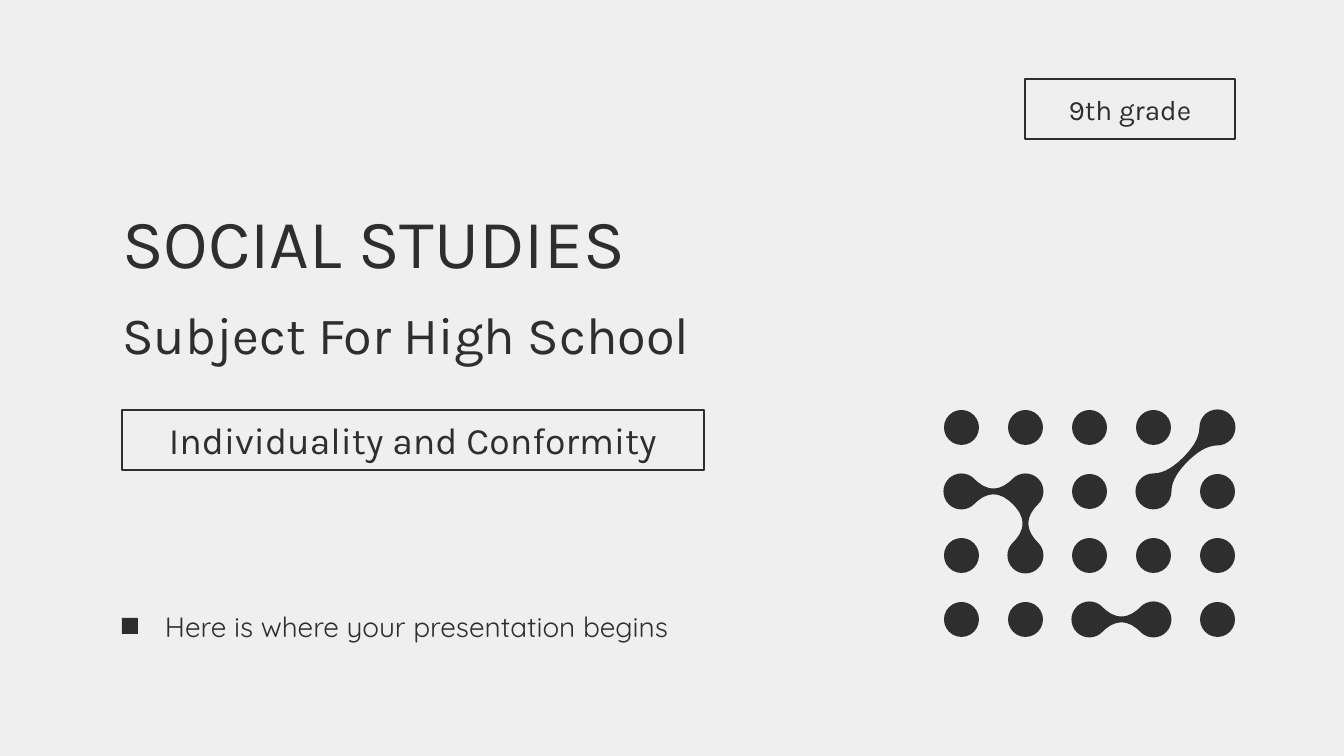
from math import atan2, ceil, cos, degrees, dist, radians, sin, tan

from lxml import etree
from pptx import Presentation
from pptx.dml.color import RGBColor
from pptx.enum.shapes import MSO_SHAPE
from pptx.enum.text import MSO_ANCHOR, MSO_AUTO_SIZE, PP_ALIGN
from pptx.oxml.ns import qn
from pptx.util import Pt

RECT, OVAL = MSO_SHAPE.RECTANGLE, MSO_SHAPE.OVAL
LEFT, CENTER = PP_ALIGN.LEFT, PP_ALIGN.CENTER
MIDDLE, NO_FIT = MSO_ANCHOR.MIDDLE, MSO_AUTO_SIZE.NONE

PAPER = RGBColor(0xEF, 0xEF, 0xEF)
INK = RGBColor(0x2E, 0x2E, 0x2E)
HEAD_FONT, BODY_FONT = "Karla", "Quicksand"
SCALE = 914400 / 134.4

COLS, ROWS, PITCH, DOT = 5, 4, 64, 35
NODE_RADIUS, NECK_HALF = 18, 3
# Each walk goes around its linked dots (column, row) and back to the first.
WALKS = [
    [(4, 0), (3, 1)],
    [(0, 1), (1, 1), (1, 2), (1, 1)],
    [(2, 3), (3, 3)],
]


def px(n):
    return round(n * SCALE)


def place(sp, x, y, w, h):
    sp.left, sp.top, sp.width, sp.height = px(x), px(y), px(w), px(h)


def set_text(sp, text, size, font=HEAD_FONT, align=LEFT):
    tf = sp.text_frame
    tf.word_wrap = True
    tf.auto_size = NO_FIT
    tf.vertical_anchor = MIDDLE
    tf.margin_left = tf.margin_right = tf.margin_top = tf.margin_bottom = px(13)
    p = tf.paragraphs[0]
    p.alignment = align
    p.space_before = Pt(0)
    r = p.add_run()
    r.text = text
    r.font.name, r.font.size = font, Pt(size)
    r.font.bold = False
    r.font.color.rgb = INK


def paint(sp):
    sp.shadow.inherit = False
    sp.fill.solid()
    sp.fill.fore_color.rgb = INK
    sp.line.fill.background()


def add_solid(s, kind, x, y, w, h):
    paint(s.shapes.add_shape(kind, px(x), px(y), px(w), px(h)))


def add_label(s, x, y, w, h, text, size):
    """Outlined box with centred text."""
    sp = s.shapes.add_shape(RECT, px(x), px(y), px(w), px(h))
    sp.shadow.inherit = False
    sp.fill.background()
    sp.line.color.rgb = INK
    sp.line.width = Pt(0.75)
    set_text(sp, text, size, align=CENTER)


def polar(center, radius, angle):
    a = radians(angle)
    return center[0] + radius * cos(a), center[1] + radius * sin(a)


def arc(center, first, sweep):
    """Cubic curves, each as two control points and an end, of 90 degrees at most."""
    count = ceil(sweep / 90)
    for i in range(count):
        step = sweep / count
        a = first + i * step
        b = a + step
        pull = 4 / 3 * tan(radians(step / 4)) * NODE_RADIUS
        yield [polar(polar(center, NODE_RADIUS, a), pull, a + 90),
               polar(polar(center, NODE_RADIUS, b), pull, b - 90),
               polar(center, NODE_RADIUS, b)]


def neck(start, end):
    """The two cubic curves along one side of the waist between two dots."""
    length = dist(start, end)
    half, edge = length / 2, NODE_RADIUS * cos(radians(45))
    lead = 0.18 * half
    side = [(edge + lead, lead - edge), (0.76 * half, -NECK_HALF), (half, -NECK_HALF)]
    side += [(length - a, b) for a, b in side[1::-1]] + [(length - edge, -edge)]
    ux, uy = (end[0] - start[0]) / length, (end[1] - start[1]) / length
    points = [(start[0] + a * ux - b * uy, start[1] + a * uy + b * ux) for a, b in side]
    return [points[:3], points[3:]]


def heading(start, end):
    return degrees(atan2(end[1] - start[1], end[0] - start[0]))


def outline(nodes):
    """Arc around each dot of the walk, followed by the neck to the next dot."""
    curves = []
    for i, node in enumerate(nodes):
        before, after = nodes[i - 1], nodes[(i + 1) % len(nodes)]
        first = heading(node, before) + 45
        sweep = round(heading(node, after) - 45 - first, 3) % 360
        curves += [*arc(node, first, sweep), *neck(node, after)]
    return curves


def add_link(s, nodes):
    xs, ys = zip(*nodes)
    left, right = min(xs) - NODE_RADIUS, max(xs) + NODE_RADIUS
    top, bottom = min(ys) - NODE_RADIUS, max(ys) + NODE_RADIUS
    fb = s.shapes.build_freeform(px(left), px(top), scale=1.0)
    fb.add_line_segments([(px(right), px(top)), (px(right), px(bottom)),
                          (px(left), px(bottom))])
    sp = fb.convert_to_shape()
    paint(sp)
    track = next(sp.element.iter(qn("a:path")))
    for child in list(track):
        track.remove(child)

    def draw(tag, points):
        command = etree.SubElement(track, qn(tag))
        for a, b in points:
            etree.SubElement(command, qn("a:pt"), x=str(px(a - left)), y=str(px(b - top)))

    curves = outline(nodes)
    draw("a:moveTo", curves[-1][-1:])
    for curve in curves:
        draw("a:cubicBezTo", curve)
    draw("a:close", [])


def add_dot_grid(s, x, y):
    linked = {cell for walk in WALKS for cell in walk}
    for row in range(ROWS):
        for col in range(COLS):
            if (col, row) not in linked:
                add_solid(s, OVAL, x + col * PITCH, y + row * PITCH, DOT, DOT)
    for walk in WALKS:
        add_link(s, [(x + DOT / 2 + col * PITCH, y + DOT / 2 + row * PITCH)
                     for col, row in walk])


def add_headings(s, x, y, w):
    title, subtitle = s.shapes.title, s.placeholders[1]
    place(title, x, y, w, 97)
    set_text(title, "SOCIAL STUDIES", 37)
    place(subtitle, x, y + 108, w, 67)
    set_text(subtitle, "Subject For High School", 28)
    add_label(s, x + 13, y + 218, 582, 60, "Individuality and Conformity", 20)


def add_opening_line(s, x, y, w, h):
    add_solid(s, RECT, x, y + 22, 16, 16)
    sp = s.shapes.add_textbox(px(x + 30), px(y), px(w - 30), px(h))
    set_text(sp, "Here is where your presentation begins", 15, BODY_FONT)


def main():
    prs = Presentation()
    prs.slide_width, prs.slide_height = px(1344), px(756)
    s = prs.slides.add_slide(prs.slide_layouts[0])
    s.background.fill.solid()
    s.background.fill.fore_color.rgb = PAPER
    add_dot_grid(s, 944, 410)
    add_headings(s, 109, 192, 704)
    add_opening_line(s, 122, 596, 597, 61)
    add_label(s, 1025, 79, 210, 60, "9th grade", 15)
    prs.save("out.pptx")


if __name__ == "__main__":
    main()
